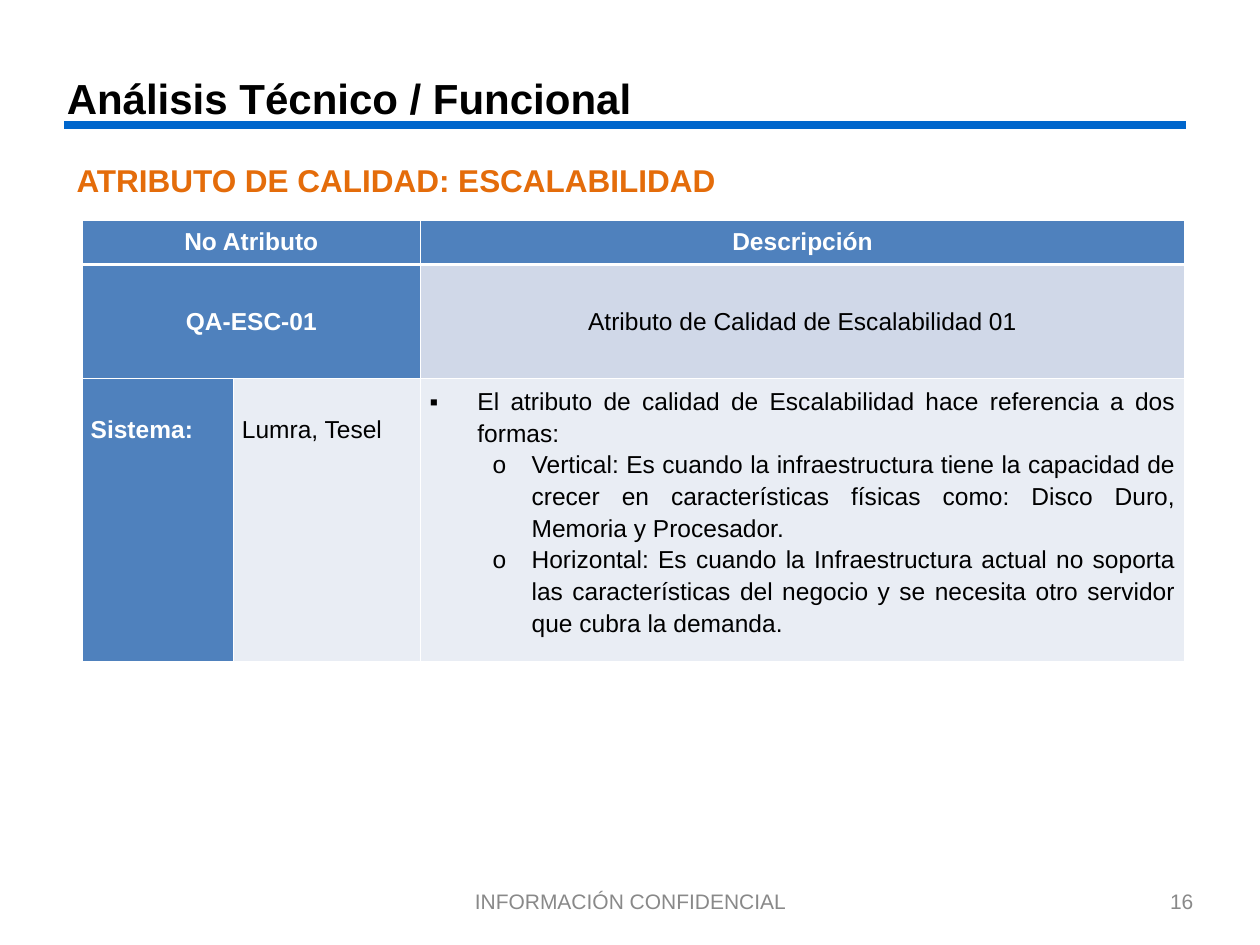
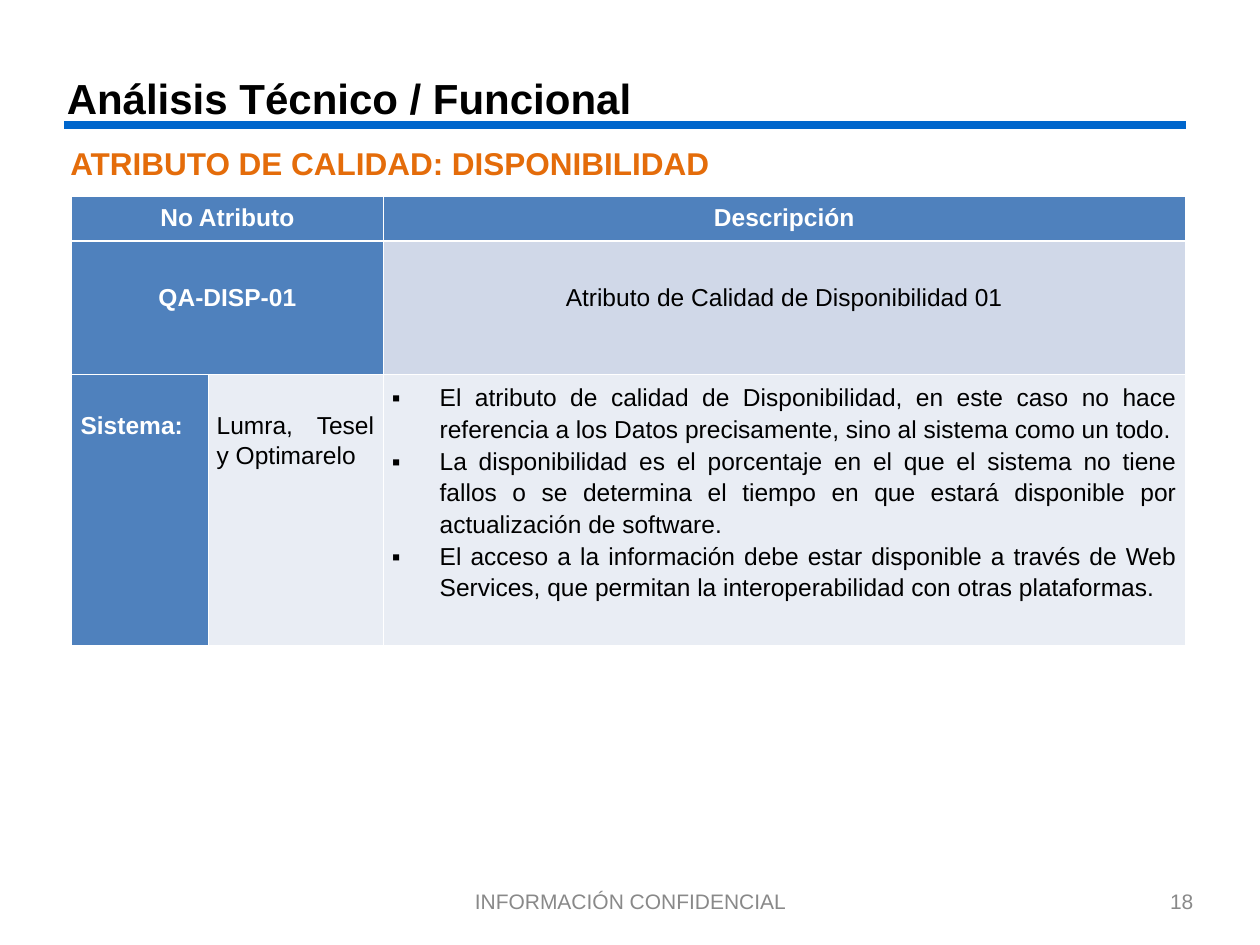
import pptx
import pptx.dml.color
import pptx.enum.shapes
import pptx.enum.text
import pptx.oxml
import pptx.oxml.ns
import pptx.util

Inches, Pt = pptx.util.Inches, pptx.util.Pt
ALIGN = pptx.enum.text.PP_ALIGN
ANCHOR = pptx.enum.text.MSO_ANCHOR


class Theme:
    """Colours and type formats shared by the slides."""
    BLUE, RULE = "4F81BD", "0066CC"
    BAND, PALE = "D0D8E8", "E9EDF4"
    WHITE, BLACK = "FFFFFF", "000000"
    FONT = "Arial"
    TITLE = {"size": 24, "bold": True, "color": BLACK}
    SUBTITLE = {"size": 18, "bold": True, "color": "E46C0A"}
    FOOTER = {"size": 12, "bold": False, "color": "898989"}
    LABEL = {"size": 14, "bold": True, "color": WHITE}
    CONTENT = {"size": 14, "bold": False, "color": BLACK}
    THIN, THICK = 0.45, 1.47          # cell borders, points
    TIGHT, LOOSE = 1.07, 1.15         # line spacing


# Bullet character, left indent and hanging indent for each list level
LIST_LEVELS = [("▪", 0.38, -0.38), ("o", 0.81, -0.31)]


def set_attributes(target, values):
    for name, value in values.items():
        setattr(target, name, value)


def rgb(color):
    return pptx.dml.color.RGBColor.from_string(color)


def write(paragraph, text, style, **layout):
    set_attributes(paragraph, layout)
    run = paragraph.add_run()
    run.text = text
    set_attributes(run.font, {"name": Theme.FONT, "size": Pt(style["size"]),
                              "bold": style["bold"]})
    run.font.color.rgb = rgb(style["color"])


def fill_text_box(shape, text, style, alignment=ALIGN.LEFT, anchor=ANCHOR.MIDDLE):
    frame = shape.text_frame
    set_attributes(frame, {
        "word_wrap": True, "auto_size": pptx.enum.text.MSO_AUTO_SIZE.NONE,
        "vertical_anchor": anchor,
        "margin_left": Inches(0.1), "margin_right": Inches(0.1),
        "margin_top": Inches(0.05), "margin_bottom": Inches(0.05)})
    write(frame.paragraphs[0], text, style, alignment=alignment)


def add_text(slide, box, text, style, **layout):
    fill_text_box(slide.shapes.add_textbox(*map(Inches, box)), text, style, **layout)


# Title, rule and footer common to every slide
def add_heading(slide, box, text):
    left, top, width, height = box
    title = slide.shapes.title
    set_attributes(title, {"left": Inches(left), "top": Inches(top),
                           "width": Inches(width), "height": Inches(height)})
    fill_text_box(title, text, Theme.TITLE)
    rule_left, rule_top = Inches(left + 0.08), Inches(top + 0.53)
    rule = slide.shapes.add_connector(
        pptx.enum.shapes.MSO_CONNECTOR.STRAIGHT,
        rule_left, rule_top, rule_left + Inches(8.9), rule_top)
    rule.line.color.rgb = rgb(Theme.RULE)
    rule.line.width = Pt(4.5)
    rule._element.spPr.append(pptx.oxml.parse_xml(
        f'<a:effectLst {pptx.oxml.ns.nsdecls("a")}/>'))


def add_footer(slide, box, number):
    left, top, width, height = box
    add_text(slide, (left, top, 3.17, height), "INFORMACIÓN CONFIDENCIAL",
             Theme.FOOTER, alignment=ALIGN.CENTER)
    add_text(slide, (left + width - 2.4, top, 2.4, height), number,
             Theme.FOOTER, alignment=ALIGN.RIGHT)


# Table cells
def format_cell(cell, color, row, top_margin=0.05):
    properties = cell._tc.get_or_add_tcPr()
    widths = {"L": Theme.THIN, "R": Theme.THIN,
              "T": Theme.THICK if row == 1 else Theme.THIN,
              "B": Theme.THICK if row == 0 else Theme.THIN}
    for side, width in widths.items():
        properties.append(pptx.oxml.parse_xml(
            f'<a:ln{side} {pptx.oxml.ns.nsdecls("a")} w="{int(Pt(width))}">'
            f'<a:solidFill><a:srgbClr val="{Theme.WHITE}"/></a:solidFill></a:ln{side}>'))
    cell.fill.solid()
    cell.fill.fore_color.rgb = rgb(color)
    set_attributes(cell, {
        "margin_left": Inches(0.07), "margin_right": Inches(0.07),
        "margin_top": Inches(top_margin), "margin_bottom": Inches(0.05),
        "vertical_anchor": ANCHOR.TOP})


def add_bullet(paragraph, level):
    character, indent, hanging = LIST_LEVELS[level]
    properties = paragraph._p.get_or_add_pPr()
    properties.set("marL", str(Inches(indent)))
    properties.set("indent", str(Inches(hanging)))
    namespace = pptx.oxml.ns.nsdecls("a")
    for bullet_part in (
            f'<a:buClr {namespace}><a:srgbClr val="{Theme.BLACK}"/></a:buClr>',
            f'<a:buFont {namespace} typeface="{Theme.FONT}"/>',
            f'<a:buChar {namespace} char="{character}"/>'):
        properties.append(pptx.oxml.parse_xml(bullet_part))


def write_description(cell, items):
    frame = cell.text_frame
    for index, (level, text) in enumerate(items):
        paragraph = frame.add_paragraph() if index else frame.paragraphs[0]
        write(paragraph, text, Theme.CONTENT, level=level,
              alignment=ALIGN.JUSTIFY, line_spacing=Theme.LOOSE)
        add_bullet(paragraph, level)


def add_attribute_table(slide, origin, columns, rows, attribute):
    left, top = origin
    table = slide.shapes.add_table(
        len(rows), len(columns), Inches(left), Inches(top),
        Inches(sum(columns)), Inches(sum(rows))).table
    for column, width in zip(table.columns, columns):
        column.width = Inches(width)
    for row, height in zip(table.rows, rows):
        row.height = Inches(height)

    # Fill and top margin: the margin drops the text to the second line
    colors = [[Theme.BLUE] * 3,
              [Theme.BLUE, Theme.BLUE, Theme.BAND],
              [Theme.BLUE, Theme.PALE, Theme.PALE]]
    top_margins = [[0.05] * 3, [0.31] * 3, [0.29, 0.29, 0.05]]
    for row, row_colors in enumerate(colors):
        for column, color in enumerate(row_colors):
            format_cell(table.cell(row, column), color, row, top_margins[row][column])
    for row in (0, 1):
        table.cell(row, 0).merge(table.cell(row, 1))

    entries = [
        (0, 0, "No Atributo", Theme.LABEL, ALIGN.CENTER, Theme.TIGHT),
        (0, 2, "Descripción", Theme.LABEL, ALIGN.CENTER, Theme.TIGHT),
        (1, 0, attribute["code"], Theme.LABEL, ALIGN.CENTER, Theme.LOOSE),
        (1, 2, attribute["name"], Theme.CONTENT, ALIGN.CENTER, Theme.LOOSE),
        (2, 0, "Sistema:", Theme.LABEL, ALIGN.JUSTIFY, Theme.TIGHT),
        (2, 1, attribute["systems"], Theme.CONTENT, ALIGN.JUSTIFY, Theme.TIGHT),
    ]
    for row, column, text, style, alignment, spacing in entries:
        write(table.cell(row, column).text_frame.paragraphs[0], text, style,
              alignment=alignment, line_spacing=spacing)
    write_description(table.cell(2, 2), attribute["description"])


def add_attribute_slide(deck, attribute):
    slide = deck.slides.add_slide(deck.slide_layouts.get_by_name("Title Only"))
    add_footer(slide, (3.42, 6.95, 6.15, 0.4), attribute["number"])
    add_heading(slide, (0.43, 0.46, 8.43, 0.63), "Análisis Técnico / Funcional")
    add_text(slide, attribute["subtitle_box"], attribute["subtitle"],
             Theme.SUBTITLE, anchor=ANCHOR.TOP)
    add_attribute_table(slide, attribute["origin"], attribute["columns"],
                        attribute["rows"], attribute)


SCALABILITY = {
    "number": "16",
    "subtitle": "ATRIBUTO DE CALIDAD: ESCALABILIDAD",
    "subtitle_box": (0.51, 1.23, 8.9, 0.4),
    "origin": (0.65, 1.75),
    "columns": [1.2, 1.49, 6.06],
    "rows": [0.35, 0.9, 2.25],
    "code": "QA-ESC-01",
    "name": "Atributo de Calidad de Escalabilidad 01",
    "systems": "Lumra, Tesel",
    "description": [
        (0, "El atributo de calidad de Escalabilidad hace referencia a dos formas:"),
        (1, "Vertical: Es cuando la infraestructura tiene la capacidad de crecer en "
            "características físicas como: Disco Duro, Memoria y Procesador."),
        (1, "Horizontal: Es cuando la Infraestructura actual no soporta las "
            "características del negocio y se necesita otro servidor que cubra "
            "la demanda."),
    ],
}

AVAILABILITY = {
    "number": "18",
    "subtitle": "ATRIBUTO DE CALIDAD: DISPONIBILIDAD",
    "subtitle_box": (0.46, 1.09, 8.78, 0.4),
    "origin": (0.57, 1.56),
    "columns": [1.08, 1.39, 6.37],
    "rows": [0.35, 1.06, 2.15],
    "code": "QA-DISP-01",
    "name": "Atributo de Calidad de Disponibilidad 01",
    "systems": "Lumra, Tesel y Optimarelo",
    "description": [
        (0, "El atributo de calidad de Disponibilidad, en este caso no hace referencia "
            "a los Datos precisamente, sino al sistema como un todo."),
        (0, "La disponibilidad es el porcentaje en el que el sistema no tiene fallos o "
            "se determina el tiempo en que estará disponible por actualización de "
            "software."),
        (0, "El acceso a la información debe estar disponible a través de Web Services, "
            "que permitan la interoperabilidad con otras plataformas."),
    ],
}


def main():
    deck = pptx.Presentation()
    set_attributes(deck, {"slide_width": Inches(10), "slide_height": Inches(7.5)})
    for attribute in (SCALABILITY, AVAILABILITY):
        add_attribute_slide(deck, attribute)
    deck.save("out.pptx")


if __name__ == "__main__":
    main()
